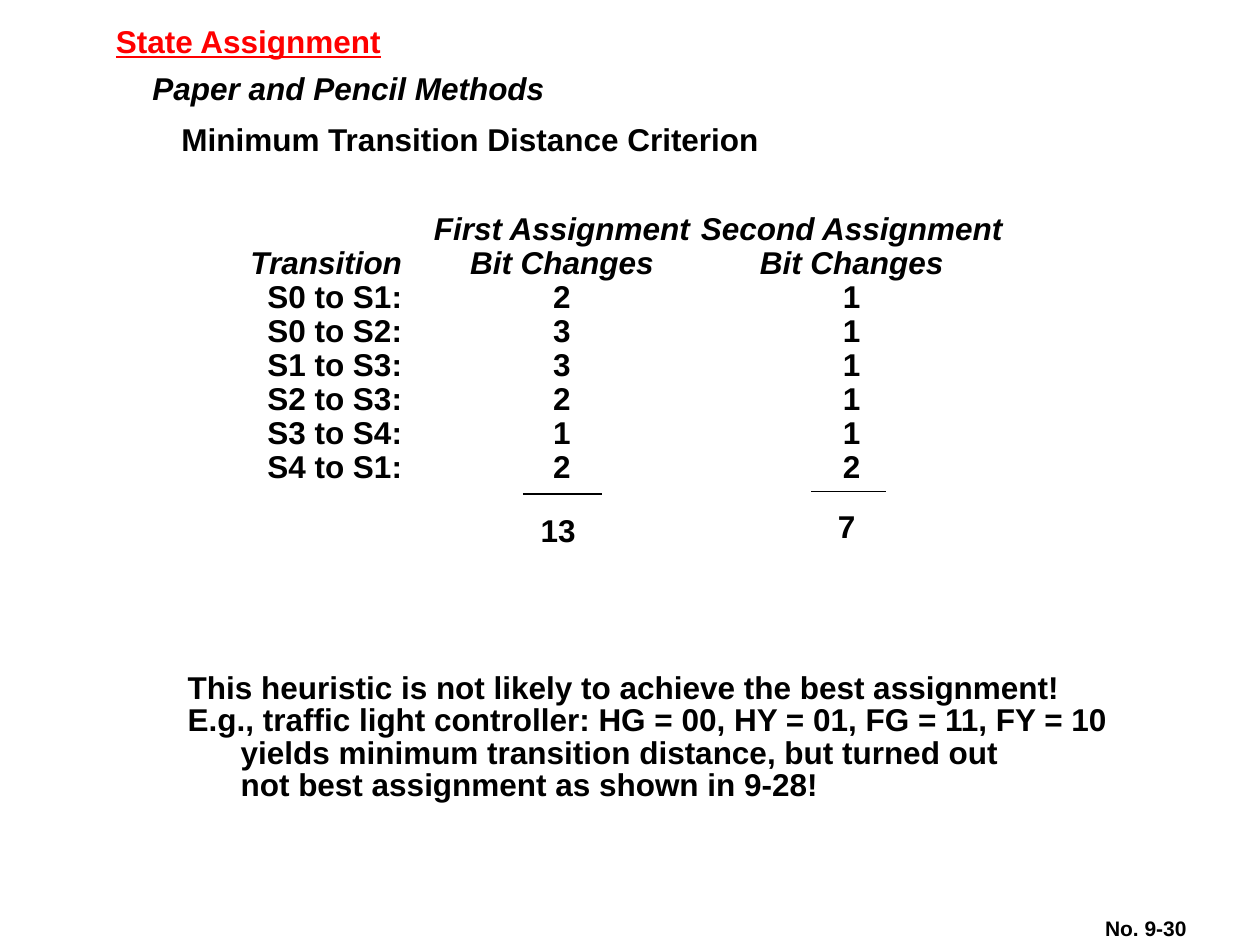
from pptx import Presentation
from pptx.dml.color import RGBColor
from pptx.enum.shapes import MSO_CONNECTOR as Link
from pptx.enum.text import MSO_AUTO_SIZE as Fit, PP_ALIGN as Align
from pptx.oxml.ns import qn
from pptx.util import Inches, Pt
from lxml.etree import SubElement

BLACK = RGBColor(0x00, 0x00, 0x00)
RED = RGBColor(0xFF, 0x00, 0x00)

STEPS = [
    ("S0 to S1:", "2", "1"),
    ("S0 to S2:", "3", "1"),
    ("S1 to S3:", "3", "1"),
    ("S2 to S3:", "2", "1"),
    ("S3 to S4:", "1", "1"),
    ("S4 to S1:", "2", "2"),
]
HEADS = [
    ["Transition"],
    ["First Assignment", "Bit Changes"],
    ["Second Assignment", "Bit Changes"],
]
SPOTS = [
    (1.88, 1.91, 1.41, 1.99, Align.RIGHT),
    (3.34, 1.64, 2.24, 2.26, Align.CENTER),
    (5.46, 1.64, 2.6, 2.26, Align.CENTER),
]
SUMS = [
    ("13", 4.22, 4.07, 0.42, 4.15, 4.78, 3.92),
    ("7", 6.58, 4.04, 0.28, 6.44, 7.03, 3.9),
]
NOTES = [
    ("This heuristic is not likely to achieve the best assignment!", 0),
    ("E.g., traffic light controller: HG = 00, HY = 01, FG = 11, FY = 10", 0),
    ("yields minimum transition distance, but turned out", 0.42),
    ("not best assignment as shown in 9-28!", 0.42),
]


def add_box(slide, x, y, w, h, pad_x=0.07, pad_y=0.03):
    box = slide.shapes.add_textbox(Inches(x), Inches(y), Inches(w), Inches(h))
    frame = box.text_frame
    frame.word_wrap = False
    frame.auto_size = Fit.SHAPE_TO_FIT_TEXT
    frame.margin_left = frame.margin_right = Inches(pad_x)
    frame.margin_top = frame.margin_bottom = Inches(pad_y)
    return frame


def add_line(frame, text, first=False, size=18, color=BLACK, italic=False,
             under=False, align=Align.LEFT, pitch=0.85, indent=0):
    para = frame.paragraphs[0] if first else frame.add_paragraph()
    para.alignment = align
    para.line_spacing = pitch
    if indent:
        para._p.get_or_add_pPr().set("marL", str(Inches(indent)))
    run = para.add_run()
    run.text = text
    font = run.font
    font.name = "Arial"
    font.size = Pt(size)
    font.bold = True
    font.italic = italic
    font.underline = under
    font.color.rgb = color


def add_label(slide, text, x, y, w, h=0.31, **style):
    add_line(add_box(slide, x, y, w, h), text, first=True, **style)


def add_rule(slide, left, right, y):
    rule = slide.shapes.add_connector(
        Link.STRAIGHT, Inches(left), Inches(y), Inches(right), Inches(y))
    rule.line.color.rgb = BLACK
    rule.line.width = Pt(1)
    SubElement(rule._element.spPr, qn("a:effectLst"))


def add_column(slide, spot, heads, cells):
    x, y, w, h, align = spot
    frame = add_box(slide, x, y, w, h, 0.1, 0.05)
    for i, text in enumerate([*heads, *cells]):
        add_line(frame, text, first=i == 0, italic=i < len(heads),
                 align=align, pitch=0.9)


def add_notes(slide):
    frame = add_box(slide, 1.42, 5.32, 7.46, 1.08)
    for i, (text, indent) in enumerate(NOTES):
        add_line(frame, text, first=i == 0, indent=indent)


def main():
    deck = Presentation()
    deck.slide_width, deck.slide_height = Inches(10), Inches(7.5)
    slide = deck.slides.add_slide(deck.slide_layouts[6])

    add_label(slide, "No. 9-30", 8.7, 7.25, 1.41, 0.25, size=12, pitch=0.97)
    add_label(slide, "State Assignment", 0.85, 0.19, 2.25, color=RED, under=True)
    add_label(slide, "Paper and Pencil Methods", 1.14, 0.56, 3.3, italic=True)
    add_label(slide, "Minimum Transition Distance Criterion", 1.37, 0.97, 4.74)

    for text, x, y, w, left, right, level in SUMS:
        add_rule(slide, left, right, level)
        add_label(slide, text, x, y, w)
    add_notes(slide)
    for spot, heads, cells in zip(SPOTS, HEADS, zip(*STEPS)):
        add_column(slide, spot, heads, cells)

    deck.save("out.pptx")


if __name__ == "__main__":
    main()
